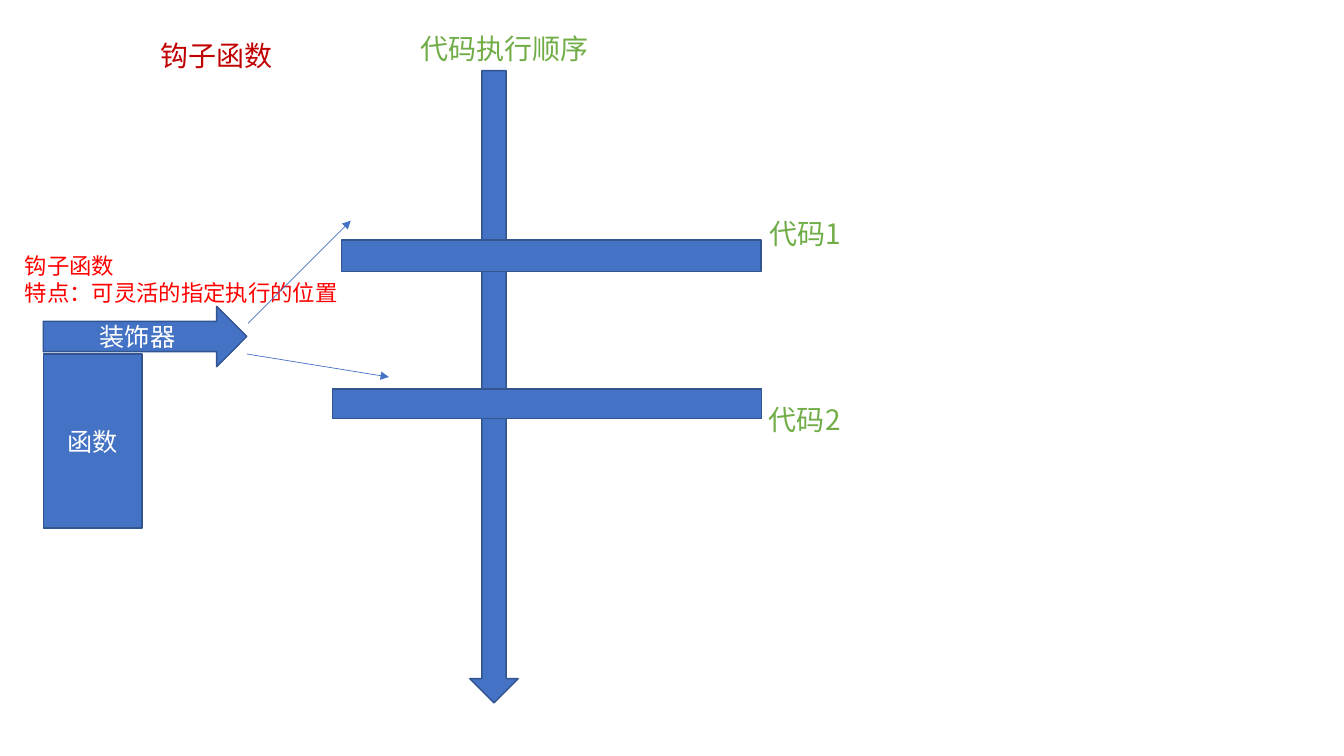
import pptx
import pptx.util
import pptx.dml.color
import pptx.enum.shapes
import pptx.enum.text
import pptx.oxml
import pptx.oxml.ns

Cm, Pt = pptx.util.Cm, pptx.util.Pt
KIND = pptx.enum.shapes.MSO_SHAPE
ALIGN = pptx.enum.text.PP_ALIGN
ANCHOR = pptx.enum.text.MSO_ANCHOR
FONT = "Noto Sans CJK SC"
HUES = {"blue": "4472C4", "edge": "325491", "white": "FFFFFF",
        "dark": "C00000", "red": "FF0000", "green": "70AD47"}

# Boxes are left, top, width, height in centimetres.
TITLE = ("钩子函数", (3.78, 0.84, 3.81, 1.12))
FLOW = [
    (KIND.DOWN_ARROW, (11.84, 1.78, 1.22, 15.93)),
    (KIND.RECTANGLE, (8.61, 6.05, 10.57, 0.79)),
    (KIND.RECTANGLE, (8.38, 9.8, 10.82, 0.74)),
]
HOOK = [
    (KIND.RIGHT_ARROW, (1.09, 7.72, 5.13, 1.52), "装饰器"),
    (KIND.RECTANGLE, (1.09, 8.92, 2.49, 4.39), "函数"),
]
LABELS = [
    ("代码执行顺序", (10.34, 0.66, 6.2, 1.12), 20, "green"),
    ("代码1", (19.15, 5.33, 6.2, 1.12), 20, "green"),
    ("代码2", (19.13, 10.01, 6.2, 1.12), 20, "green"),
    ("钩子函数\n特点：可灵活的指定执行的位置", (0.38, 6.22, 8.41, 1.63), 16, "red"),
]
LINKS = [(6.25, 8.15, 8.84, 5.56), (6.22, 8.92, 9.8, 9.5)]


def rgb(name):
    return pptx.dml.color.RGBColor.from_string(HUES[name])


def sub(node, tag, **attrs):
    """Append an empty drawing element to an XML node."""
    part = pptx.oxml.parse_xml(f"<{tag} {pptx.oxml.ns.nsdecls('a')}/>")
    for key, value in attrs.items():
        part.set(key, value)
    node.append(part)


def write(shape, text, size=18, hue="white", align=ALIGN.LEFT,
          anchor=ANCHOR.TOP, grow=False):
    frame = shape.text_frame
    frame.text = text
    frame.word_wrap = True
    frame.vertical_anchor = anchor
    if grow:
        frame.auto_size = pptx.enum.text.MSO_AUTO_SIZE.SHAPE_TO_FIT_TEXT
    for para in frame.paragraphs:
        para.alignment = align
        for run in para.runs:
            run.font.size = Pt(size)
            run.font.color.rgb = rgb(hue)
            run.font.name = FONT
            sub(run.font._element, "a:ea", typeface=FONT)


def block(home, kind, box):
    shape = home.add_shape(kind, *map(Cm, box))
    shape.shadow.inherit = False
    shape.fill.solid()
    shape.fill.fore_color.rgb = rgb("blue")
    shape.line.color.rgb = rgb("edge")
    shape.line.width = Pt(1)
    return shape


def link(home, ends):
    line = home.add_connector(
        pptx.enum.shapes.MSO_CONNECTOR.STRAIGHT, *map(Cm, ends))
    line.line.color.rgb = rgb("blue")
    line.line.width = Pt(0.5)
    sub(line.line._get_or_add_ln(), "a:tailEnd", type="triangle")
    sub(line._element.spPr, "a:effectLst")


def main():
    deck = pptx.Presentation()
    deck.slide_width, deck.slide_height = Cm(33.87), Cm(19.05)
    slide = deck.slides.add_slide(deck.slide_layouts[5])
    shapes = slide.shapes

    text, box = TITLE
    title = shapes.title
    title.left, title.top, title.width, title.height = map(Cm, box)
    write(title, text, size=20, hue="dark", grow=True)

    for kind, box in FLOW:
        block(shapes, kind, box)
    group = shapes.add_group_shape()
    for kind, box, text in HOOK:
        write(block(group.shapes, kind, box), text,
              align=ALIGN.CENTER, anchor=ANCHOR.MIDDLE)
    for text, box, size, hue in LABELS:
        write(shapes.add_textbox(*map(Cm, box)), text,
              size=size, hue=hue, grow=True)
    for ends in LINKS:
        link(shapes, ends)
    deck.save("out.pptx")


if __name__ == "__main__":
    main()
